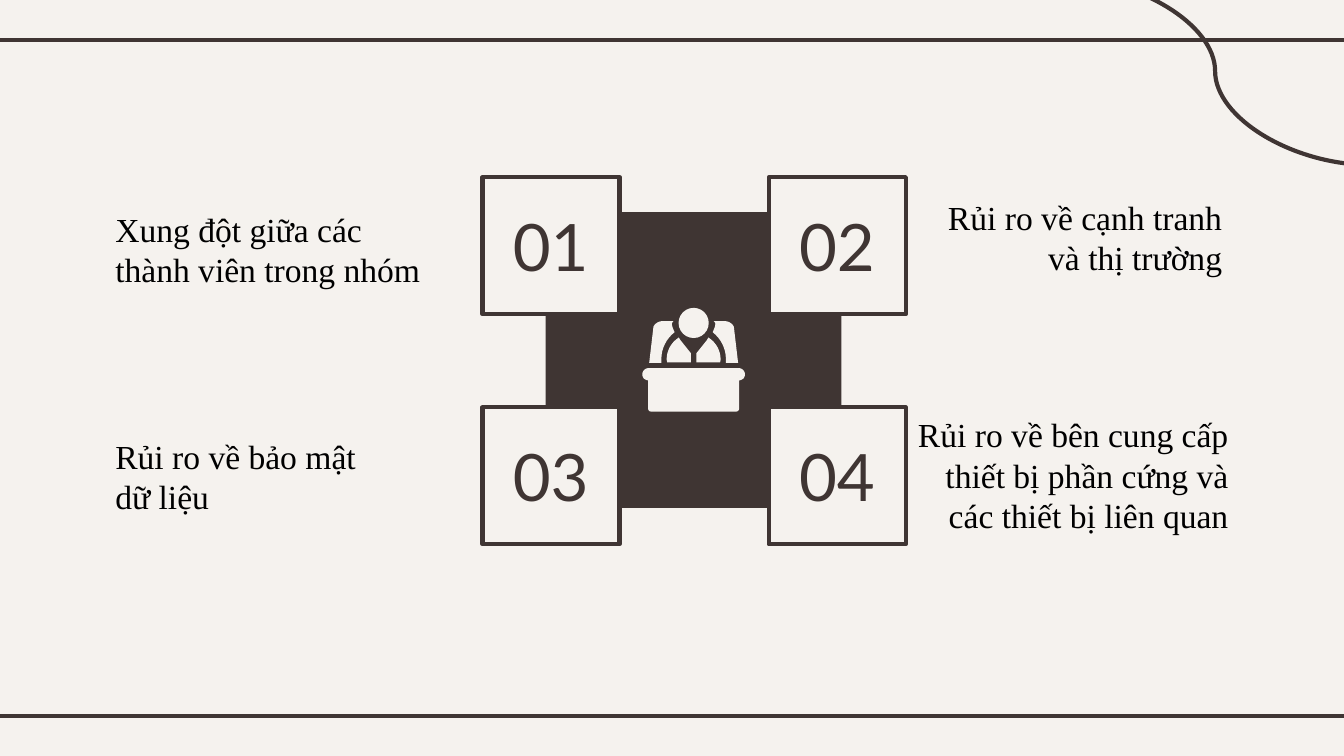
from lxml import etree
from pptx import Presentation
from pptx.dml.color import RGBColor
from pptx.enum.shapes import MSO_CONNECTOR, MSO_SHAPE
from pptx.enum.text import MSO_ANCHOR, PP_ALIGN
from pptx.oxml.ns import qn
from pptx.util import Cm, Pt

STRAIGHT, CURVE = MSO_CONNECTOR.STRAIGHT, MSO_CONNECTOR.CURVE
RECTANGLE, OVAL = MSO_SHAPE.RECTANGLE, MSO_SHAPE.OVAL
MIDDLE = MSO_ANCHOR.MIDDLE
LEFT, CENTER, RIGHT = PP_ALIGN.LEFT, PP_ALIGN.CENTER, PP_ALIGN.RIGHT

COLORS = {"paper": "F5F2EE", "brown": "3F3533", "text": "000000"}
LINE_WIDTH = Pt(2.25)
BLANK_LAYOUT = 6

# Centre piece and number boxes, in cm
CENTER_X = 13.11
HUB_TOP, HUB_SIZE = 4.01, 5.59
BOX_SIZE = 2.59
BOX_COLUMNS = (9.12, 14.53)
BOX_ROWS = (3.35, 7.7)

# Risks: text, left, top, width, height in cm, alignment
RISKS = [
    ("Rủi ro về bảo mật dữ liệu", 1.93, 8.51, 5.08, 0.99, LEFT),
    ("Xung đột giữa các thành viên trong nhóm", 1.93, 3.86, 6.58, 1.7, LEFT),
    ("Rủi ro về bên cung cấp thiết bị phần cứng và các thiết bị liên quan",
     16.79, 8.48, 6.68, 0.99, RIGHT),
    ("Rủi ro về cạnh tranh và thị trường", 17.58, 3.99, 5.77, 0.99, RIGHT),
]

# Right half of the desk icon, in mm from its top centre.
# A step is one point for a line, or three points for a Bézier curve.
ICON_TOP = 5.82
HEAD_SIZE = 0.57
DESK = [
    [(8.6, 11.4)],
    [(9.1, 11.4), (9.7, 11.9), (9.7, 12.6)],
    [(9.7, 13.3), (9.1, 13.7), (8.6, 13.7)],
    [(8.6, 19.0)],
    [(8.6, 19.3), (8.4, 19.6), (8.1, 19.6)],
]
CHAIR = [
    [(3.8, 2.5)],
    [(3.8, 2.5), (4.1, 2.8), (4.1, 3.0)],
    [(4.1, 3.6), (3.8, 4.1), (3.6, 4.6)],
    [(5.1, 5.8), (6.1, 7.6), (6.1, 9.7)],
    [(6.1, 10.4)],
    [(8.4, 10.4)],
    [(7.6, 3.6)],
    [(7.4, 3.0), (6.6, 2.5), (5.8, 2.5)],
]
ARM = [
    [(2.8, 5.6)],
    [(2.5, 6.1)],
    [(0.5, 8.6)],
    [(0.5, 10.3)],
    [(5.0, 10.3)],
    [(5.1, 9.8)],
    [(5.1, 8.1), (4.3, 6.6), (2.8, 5.6)],
]


def rgb(name):
    return RGBColor.from_string(COLORS[name])


def paint(shape, fill, line=None):
    shape.shadow.inherit = False
    shape.fill.solid()
    shape.fill.fore_color.rgb = rgb(fill)
    if line:
        shape.line.color.rgb = rgb(line)
        shape.line.width = LINE_WIDTH
    else:
        shape.line.fill.background()


def add_block(slide, kind, left, top, size, fill, line=None):
    block = slide.shapes.add_shape(kind, Cm(left), Cm(top), Cm(size), Cm(size))
    paint(block, fill, line)


def add_line(slide, kind, x1, y1, x2, y2):
    line = slide.shapes.add_connector(kind, Cm(x1), Cm(y1), Cm(x2), Cm(y2))
    line.line.color.rgb = rgb("brown")
    line.line.width = LINE_WIDTH
    etree.SubElement(line._element.spPr, qn("a:effectLst"))


def add_label(slide, text, left, top, width, height, align, font, size, color):
    label = slide.shapes.add_textbox(Cm(left), Cm(top), Cm(width), Cm(height))
    frame = label.text_frame
    frame.text = text
    frame.word_wrap = True
    frame.vertical_anchor = MIDDLE
    frame.margin_left = frame.margin_right = Cm(0.25)
    frame.margin_top = frame.margin_bottom = Cm(0.25)
    paragraph = frame.paragraphs[0]
    paragraph.alignment = align
    run_font = paragraph.runs[0].font
    run_font.name, run_font.size = font, Pt(size)
    run_font.color.rgb = rgb(color)


def trace(steps, samples=8):
    """Turn lines and Bézier curves into a list of points."""
    points = []
    for step in steps:
        if len(step) == 1:
            points.append(step[0])
            continue
        control = [points[-1], *step]
        for i in range(1, samples + 1):
            t = i / samples
            weights = ((1 - t) ** 3, 3 * t * (1 - t) ** 2,
                       3 * t ** 2 * (1 - t), t ** 3)
            points.append(tuple(sum(w * p[axis] for w, p in zip(weights, control))
                                for axis in (0, 1)))
    return points


def mirror(points):
    return [(-x, y) for x, y in reversed(points)]


def add_outline(slide, points):
    corners = [(Cm(CENTER_X + x / 10), Cm(ICON_TOP + y / 10)) for x, y in points]
    builder = slide.shapes.build_freeform(*corners[0])
    builder.add_line_segments(corners[1:], close=True)
    paint(builder.convert_to_shape(), "paper")


def add_desk_icon(slide):
    add_block(slide, OVAL, CENTER_X - HEAD_SIZE / 2, ICON_TOP, HEAD_SIZE, "paper")
    desk = trace(DESK)
    add_outline(slide, desk + mirror(desk))
    for part in (CHAIR, ARM):
        half = trace(part)
        add_outline(slide, half)
        add_outline(slide, mirror(half))


def add_number_boxes(slide):
    corners = [(left, top) for top in BOX_ROWS for left in BOX_COLUMNS]
    for number, (left, top) in enumerate(corners, start=1):
        add_block(slide, RECTANGLE, left, top, BOX_SIZE, "paper", "brown")
        add_label(slide, f"{number:02}", left - 0.12, top + 0.37, 2.82, 1.85,
                  CENTER, "Lato", 35, "brown")


def main():
    prs = Presentation()
    prs.slide_width, prs.slide_height = Cm(25.4), Cm(14.29)
    slide = prs.slides.add_slide(prs.slide_layouts[BLANK_LAYOUT])
    slide.background.fill.solid()
    slide.background.fill.fore_color.rgb = rgb("paper")

    # Frame lines and corner curve
    for y in (0.76, 13.54):
        add_line(slide, STRAIGHT, -0.2, y, 25.6, y)
    add_line(slide, CURVE, 20.02, -0.43, 25.91, 3.12)

    # Risk descriptions
    for risk in RISKS:
        add_label(slide, *risk, "Times New Roman", 18, "text")

    # Centre piece with its icon and numbers
    add_block(slide, RECTANGLE, CENTER_X - HUB_SIZE / 2, HUB_TOP, HUB_SIZE, "brown")
    add_desk_icon(slide)
    add_number_boxes(slide)

    prs.save("out.pptx")


if __name__ == "__main__":
    main()
